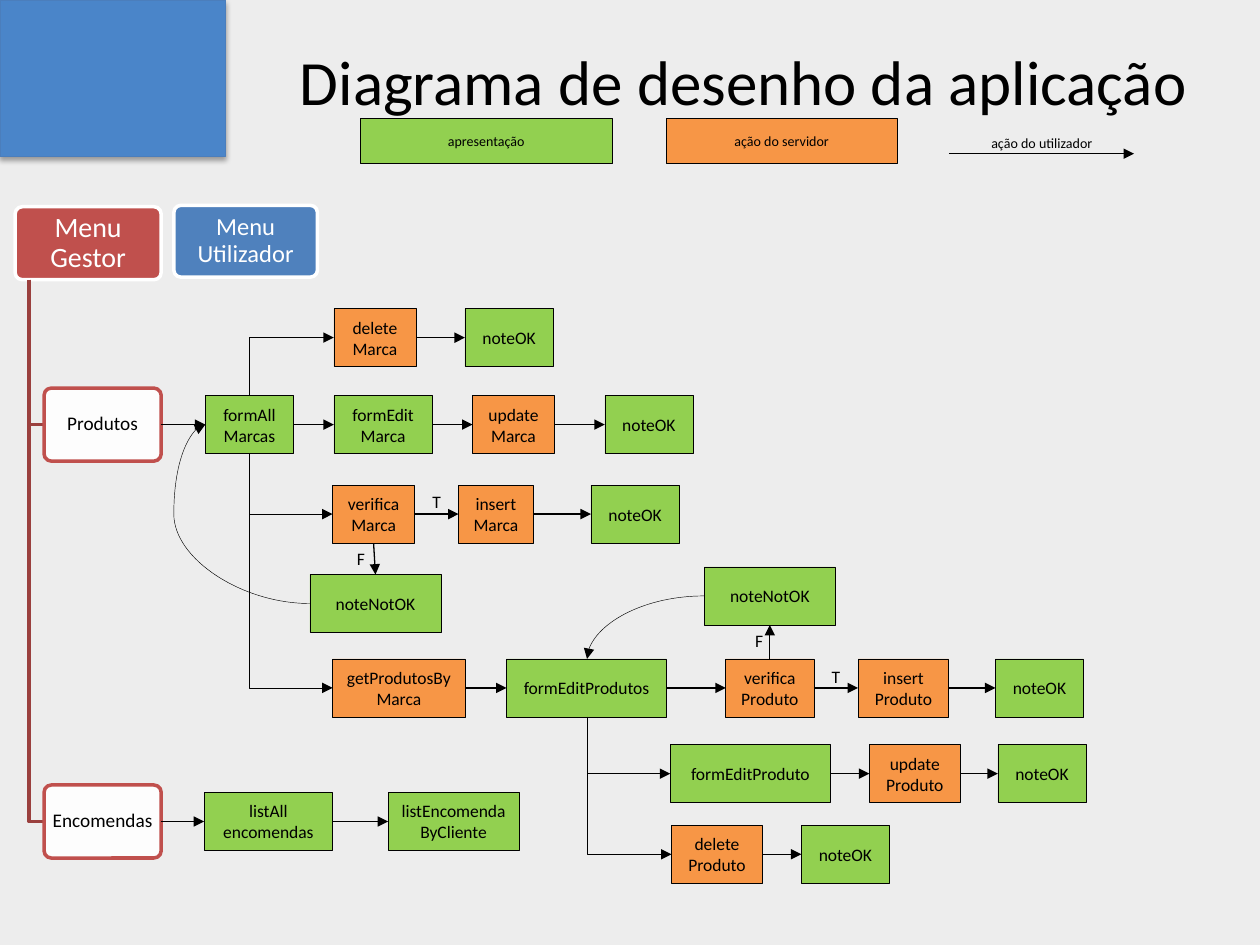
from lxml import etree
from pptx import Presentation
from pptx.dml.color import RGBColor
from pptx.enum.shapes import MSO_CONNECTOR, MSO_SHAPE
from pptx.enum.text import MSO_ANCHOR, PP_ALIGN
from pptx.oxml.ns import qn
from pptx.util import Inches, Pt

STRAIGHT, CURVE = MSO_CONNECTOR.STRAIGHT, MSO_CONNECTOR.CURVE
RECTANGLE, ROUNDED = MSO_SHAPE.RECTANGLE, MSO_SHAPE.ROUNDED_RECTANGLE
TOP, MIDDLE = MSO_ANCHOR.TOP, MSO_ANCHOR.MIDDLE
CENTER = PP_ALIGN.CENTER
TITLE_ONLY = 5
TOP_SITE, LEFT_SITE, BOTTOM_SITE, RIGHT_SITE = range(4)
COLORS = {
    "background": "EDEDED", "corner": "4A85C9", "corner line": "4B7EBC",
    "view": "92D050", "server": "F79646", "user menu": "4F81BD",
    "manager menu": "C0504D", "trunk": "9A403E", "black": "000000", "white": "FFFFFF",
}
BOX_HEIGHT = 0.46

# Each row: top, then (text, left, width, kind) for boxes joined by arrows
ROWS = {
    "delete brand": (2.45, [("delete\vMarca", 2.65, 0.65, "server"),
                            ("noteOK", 3.69, 0.7, "view")]),
    "brands": (3.14, [("formAll\vMarcas", 1.63, 0.7, "view"),
                      ("formEdit\vMarca", 2.65, 0.78, "view"),
                      ("update\vMarca", 3.75, 0.65, "server"),
                      ("noteOK", 4.8, 0.7, "view")]),
    "check brand": (3.85, [("verifica\vMarca", 2.64, 0.65, "server"),
                           ("insert\vMarca", 3.64, 0.59, "server"),
                           ("noteOK", 4.69, 0.7, "view")]),
    "products": (5.23, [("getProdutosBy\vMarca", 2.64, 1.05, "server"),
                        ("formEditProdutos", 4.02, 1.27, "view"),
                        ("verifica Produto", 5.76, 0.7, "server"),
                        ("insert Produto", 6.81, 0.72, "server"),
                        ("noteOK", 7.9, 0.7, "view")]),
    "edit product": (5.91, [("formEditProduto", 5.32, 1.27, "view"),
                            ("update Produto", 6.9, 0.72, "server"),
                            ("noteOK", 7.92, 0.7, "view")]),
    "delete product": (6.55, [("delete Produto", 5.33, 0.72, "server"),
                              ("noteOK", 6.36, 0.7, "view")]),
    "orders": (6.29, [("listAll encomendas", 1.62, 1.02, "view"),
                      ("listEncomenda\vByCliente", 3.08, 1.04, "view")]),
}


def color(name):
    return RGBColor.from_string(COLORS[name])


class Diagram:
    """Holds the slide and the style of its elements."""

    font = "Calibri"

    def __init__(self, slide):
        self.shapes = slide.shapes

    def set_text(self, shape, text, size, ink="black", anchor=MIDDLE):
        frame = shape.text_frame
        frame.text = text
        frame.word_wrap = True
        frame.vertical_anchor = anchor
        paragraph = frame.paragraphs[0]
        paragraph.alignment = CENTER
        for run in paragraph.runs:
            run.font.name = self.font
            run.font.size = Pt(size)
            run.font.color.rgb = color(ink)

    def title(self, text, left, top, width, height):
        title = self.shapes.title
        title.left, title.top = Inches(left), Inches(top)
        title.width, title.height = Inches(width), Inches(height)
        self.set_text(title, text, 36, anchor=TOP)

    def label(self, text, left, top, width, height, size=10):
        box = self.shapes.add_textbox(*map(Inches, (left, top, width, height)))
        self.set_text(box, text, size, anchor=TOP)

    def shape(self, kind, left, top, width, height, fill, line, weight):
        shape = self.shapes.add_shape(kind, *map(Inches, (left, top, width, height)))
        shape.shadow.inherit = False
        shape.fill.solid()
        shape.fill.fore_color.rgb = color(fill)
        shape.line.color.rgb = color(line)
        shape.line.width = Pt(weight)
        return shape

    def corner(self, width, height):
        """Corner block with a soft shadow below it."""
        block = self.shape(RECTANGLE, 0, 0, width, height, "corner", "corner line", 0.75)
        effects = block._element.spPr.find(qn("a:effectLst"))
        shadow = etree.SubElement(effects, qn("a:outerShdw"), blurRad=str(Pt(3.1)),
                                  dist=str(Pt(1.8)), dir="5400000", rotWithShape="0")
        ink = etree.SubElement(shadow, qn("a:srgbClr"), val=COLORS["black"])
        etree.SubElement(ink, qn("a:alpha"), val="35000")

    def box(self, text, left, top, width, kind, height=BOX_HEIGHT, size=10):
        box = self.shape(RECTANGLE, left, top, width, height, kind, "black", 0.25)
        self.set_text(box, text, size)
        return box

    def menu(self, text, left, top, width, height, fill, line, ink, size):
        menu = self.shape(ROUNDED, left, top, width, height, fill, line, 2)
        menu.adjustments[0] = 0.1
        self.set_text(menu, text, size, ink)
        frame = menu.text_frame
        frame.margin_left = frame.margin_right = Inches(0.04)
        frame.margin_top = frame.margin_bottom = Inches(0.04)
        frame.paragraphs[0].line_spacing = 0.9
        if fill == "white":
            solid = menu._element.spPr.find(qn("a:solidFill"))
            etree.SubElement(solid[0], qn("a:alpha"), val="90000")
        return menu

    def trunk(self, left, top, bottom, right):
        builder = self.shapes.build_freeform(Inches(left), Inches(top))
        builder.add_line_segments([(Inches(left), Inches(bottom)),
                                   (Inches(right), Inches(bottom))], close=False)
        trunk = builder.convert_to_shape()
        trunk.shadow.inherit = False
        trunk.fill.background()
        trunk.line.color.rgb = color("trunk")
        trunk.line.width = Pt(2)

    def arrow(self, start, end, kind=STRAIGHT, weight=0.75):
        arrow = self.shapes.add_connector(kind, *map(Inches, start + end))
        arrow.line.color.rgb = color("black")
        arrow.line.width = Pt(weight)
        properties = arrow._element.spPr
        etree.SubElement(properties.find(qn("a:ln")), qn("a:tailEnd"), type="triangle")
        etree.SubElement(properties, qn("a:effectLst"))
        return arrow

    def join(self, first, second, first_site=RIGHT_SITE, second_site=LEFT_SITE):
        arrow = self.arrow((0, 0), (1, 1))
        arrow.begin_connect(first, first_site)
        arrow.end_connect(second, second_site)

    def elbow(self, start, end):
        """Arrow that runs vertically, then to the right."""
        run, rise = end[0] - start[0], end[1] - start[1]
        length = abs(rise)
        left = (start[0] + end[0] - length) / 2
        top = (start[1] + end[1] - run) / 2
        right, bottom = left + length, top + run
        # Mirrored ends, then a quarter turn, make the first leg vertical
        if rise < 0:
            arrow = self.arrow((right, bottom), (left, top), weight=0.25)
            turn = 90
        else:
            arrow = self.arrow((right, top), (left, bottom), weight=0.25)
            turn = 270
        properties = arrow._element.spPr
        properties.find(qn("a:prstGeom")).set("prst", "bentConnector2")
        properties.find(qn("a:xfrm")).set("rot", str(turn * 60000))

    def curve(self, start, end, preset, bend=None):
        arrow = self.arrow(start, end, CURVE, 0.25)
        geometry = arrow._element.spPr.find(qn("a:prstGeom"))
        geometry.set("prst", preset)
        if bend:
            guides = geometry.find(qn("a:avLst"))
            etree.SubElement(guides, qn("a:gd"), name="adj1", fmla=f"val {bend}")

    def row(self, top, boxes):
        """Draw boxes from left to right, each joined to the next."""
        row = [self.box(text, left, top, width, kind) for text, left, width, kind in boxes]
        for first, second in zip(row, row[1:]):
            self.join(first, second)
        return row


def main():
    presentation = Presentation()
    presentation.slide_width, presentation.slide_height = Inches(10), Inches(7.5)
    slide = presentation.slides.add_slide(presentation.slide_layouts[TITLE_ONLY])
    slide.background.fill.solid()
    slide.background.fill.fore_color.rgb = color("background")
    diagram = Diagram(slide)

    diagram.corner(1.79, 1.24)
    diagram.title("Diagrama de desenho da aplicação", 1.8, 0.29, 8.2, 0.85)
    diagram.box("ação do servidor", 5.29, 0.94, 1.83, "server", 0.36, 8)
    diagram.box("apresentação", 2.86, 0.94, 2, "view", 0.36, 8)
    diagram.arrow((7.53, 1.22), (9, 1.22))
    diagram.label("ação do utilizador", 7.07, 1.02, 2.4, 0.24, 8)

    diagram.menu("Menu Utilizador", 1.38, 1.63, 1.14, 0.57, "user menu", "white", "white", 14)
    diagram.menu("Menu Gestor", 0.12, 1.64, 1.16, 0.58, "manager menu", "white", "white", 16)
    entries = []
    for text, top in (("Produtos", 3.08), ("Encomendas", 6.23)):
        diagram.trunk(0.23, 2.22, top + 0.29, 0.35)
        entries.append(diagram.menu(text, 0.35, top, 0.93, 0.58,
                                    "white", "manager menu", "black", 11))

    rows = {name: diagram.row(*row) for name, row in ROWS.items()}
    for entry, name in zip(entries, ("brands", "orders")):
        diagram.join(entry, rows[name][0])
    brand_error = diagram.box("noteNotOK", 2.46, 4.56, 1.04, "view")
    product_error = diagram.box("noteNotOK", 5.59, 4.5, 1.04, "view")
    diagram.join(rows["check brand"][0], brand_error, BOTTOM_SITE, TOP_SITE)
    diagram.join(rows["products"][2], product_error, TOP_SITE, BOTTOM_SITE)

    for start, end in (((1.98, 3.14), (2.65, 2.68)), ((1.98, 3.6), (2.64, 4.08)),
                       ((1.98, 3.6), (2.64, 5.46)), ((4.66, 5.69), (5.32, 6.14)),
                       ((4.66, 5.69), (5.33, 6.78))):
        diagram.elbow(start, end)
    diagram.curve((2.46, 4.79), (1.63, 3.37), "curvedConnector3", 130100)
    diagram.curve((5.59, 4.73), (4.66, 5.23), "curvedConnector2")

    for text, left, top in (("T", 3.3, 3.85), ("F", 2.7, 4.3),
                            ("T", 6.47, 5.24), ("F", 5.86, 4.95)):
        diagram.label(text, left, top, 0.33, 0.27)
    presentation.save("out.pptx")


if __name__ == "__main__":
    main()
